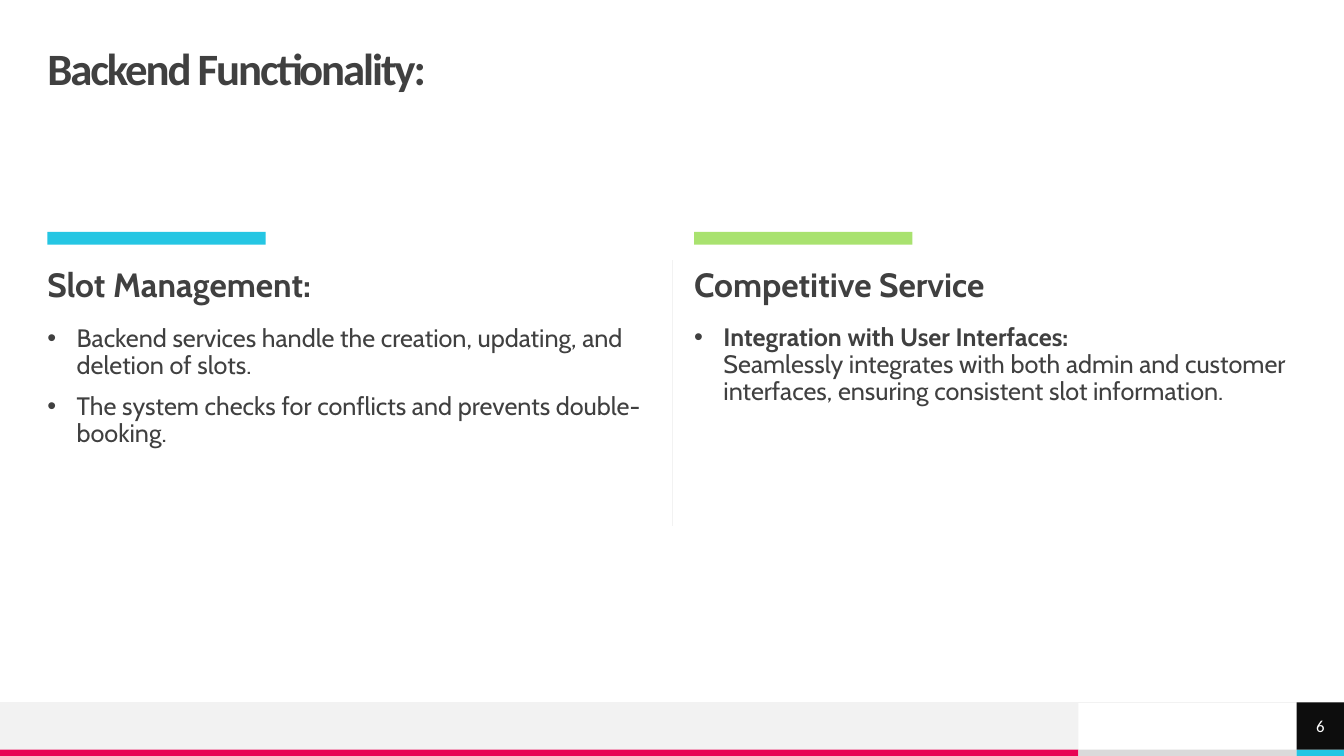
"""Builds the Backend Functionality slide with two topic columns and a footer band."""
from lxml.etree import SubElement
from pptx import Presentation
from pptx.dml.color import RGBColor
from pptx.enum.shapes import MSO_CONNECTOR, MSO_SHAPE
from pptx.enum.text import MSO_ANCHOR, MSO_AUTO_SIZE, PP_ALIGN
from pptx.oxml.ns import qn
from pptx.util import Pt

PX = 9525
DARK, PALE, CYAN = "404040", "F2F2F2", "25C6E3"
MARGIN, COLUMN_WIDTH, BULLET_INDENT = 45, 574, 28
FOOTER_TOP, STRIPE_TOP, STRIPE_HEIGHT = 669, 714, 6
FOOTER_SPLIT, NUMBER_LEFT = 1027, 1235

deck = Presentation()
deck.slide_width, deck.slide_height = 1280 * PX, 720 * PX
slide = deck.slides.add_slide(deck.slide_layouts[5])


def write(shape, paragraphs, size=18, font="Cabin", color=DARK, align=PP_ALIGN.LEFT,
          anchor=MSO_ANCHOR.TOP, bullet=False, tracking=0, line_spacing=0.9):
    """Fill a shape with paragraphs, each a list of (line, bold) pairs."""
    frame = shape.text_frame
    frame.word_wrap, frame.auto_size = True, MSO_AUTO_SIZE.NONE
    frame.vertical_anchor = anchor
    frame.margin_left = frame.margin_top = frame.margin_right = frame.margin_bottom = 0
    for index, lines in enumerate(paragraphs):
        paragraph = frame.add_paragraph() if index else frame.paragraphs[0]
        paragraph.alignment, paragraph.line_spacing = align, line_spacing
        paragraph.space_before = Pt(10 if index else 0)
        if bullet:
            properties = paragraph._p.get_or_add_pPr()
            properties.set("marL", str(BULLET_INDENT * PX))
            properties.set("indent", str(-BULLET_INDENT * PX))
            SubElement(properties, qn("a:buFont")).set("typeface", "Arial")
            SubElement(properties, qn("a:buChar")).set("char", "•")
        for position, (line, bold) in enumerate(lines):
            if position:
                paragraph.add_line_break()
            run = paragraph.add_run()
            run.text = line
            run.font.name, run.font.size, run.font.bold = font, Pt(size), bold
            run.font.color.rgb = RGBColor.from_string(color)
            if tracking:
                run.font._element.set("spc", str(tracking))


def place(*box, fill=None):
    """Add a filled rectangle, or a text box when no fill is given."""
    left, top, width, height = (length * PX for length in box)
    if fill is None:
        return slide.shapes.add_textbox(left, top, width, height)
    bar = slide.shapes.add_shape(MSO_SHAPE.RECTANGLE, left, top, width, height)
    bar.shadow.inherit = False
    bar.fill.solid()
    bar.fill.fore_color.rgb = RGBColor.from_string(fill)
    bar.line.fill.background()
    return bar


place(0, FOOTER_TOP, FOOTER_SPLIT, STRIPE_TOP - FOOTER_TOP, fill=PALE)
for left, right, stripe_color in [(0, FOOTER_SPLIT, "E80554"),
                                  (FOOTER_SPLIT, NUMBER_LEFT, "DADADA"),
                                  (NUMBER_LEFT, 1280, CYAN)]:
    place(left, STRIPE_TOP, right - left, STRIPE_HEIGHT, fill=stripe_color)

for ends in [(1280, FOOTER_TOP, 0, FOOTER_TOP), (640, 248, 640, 501)]:
    divider = slide.shapes.add_connector(MSO_CONNECTOR.STRAIGHT, *(end * PX for end in ends))
    divider.line.color.rgb = RGBColor.from_string(PALE)
    divider.line.width = Pt(0.5)
    SubElement(divider._element.spPr, qn("a:effectLst"))

title = slide.shapes.title
title.left, title.top, title.width, title.height = MARGIN * PX, 45 * PX, 1190 * PX, 45 * PX
write(title, [[("Backend Functionality:", True)]], size=32, font="Calibri",
      anchor=MSO_ANCHOR.MIDDLE, tracking=-150)

columns = [
    (MARGIN, 310, CYAN, "Slot Management:", [
        [("Backend services handle the creation, updating, and deletion of slots.", False)],
        [("The system checks for conflicts and prevents double-booking.", False)],
    ]),
    (661, 309, "A9E26F", "Competitive Service", [
        [("Integration with User Interfaces:", True),
         ("Seamlessly integrates with both admin and customer interfaces, "
          "ensuring consistent slot information.", False)],
    ]),
]
for left, points_top, accent, heading, points in columns:
    place(left, 221, 208, 12, fill=accent)
    write(place(left, 256, COLUMN_WIDTH, 37), [[(heading, True)]], size=24)
    write(place(left, points_top, COLUMN_WIDTH, 230), points, bullet=True)

page_number = place(NUMBER_LEFT, FOOTER_TOP, 45, STRIPE_TOP - FOOTER_TOP, fill="0D0D0D")
write(page_number, [[("6", False)]], size=12, font="Calibri", color="FFFFFF",
      align=PP_ALIGN.CENTER, anchor=MSO_ANCHOR.MIDDLE, line_spacing=1.0)

deck.save("out.pptx")
